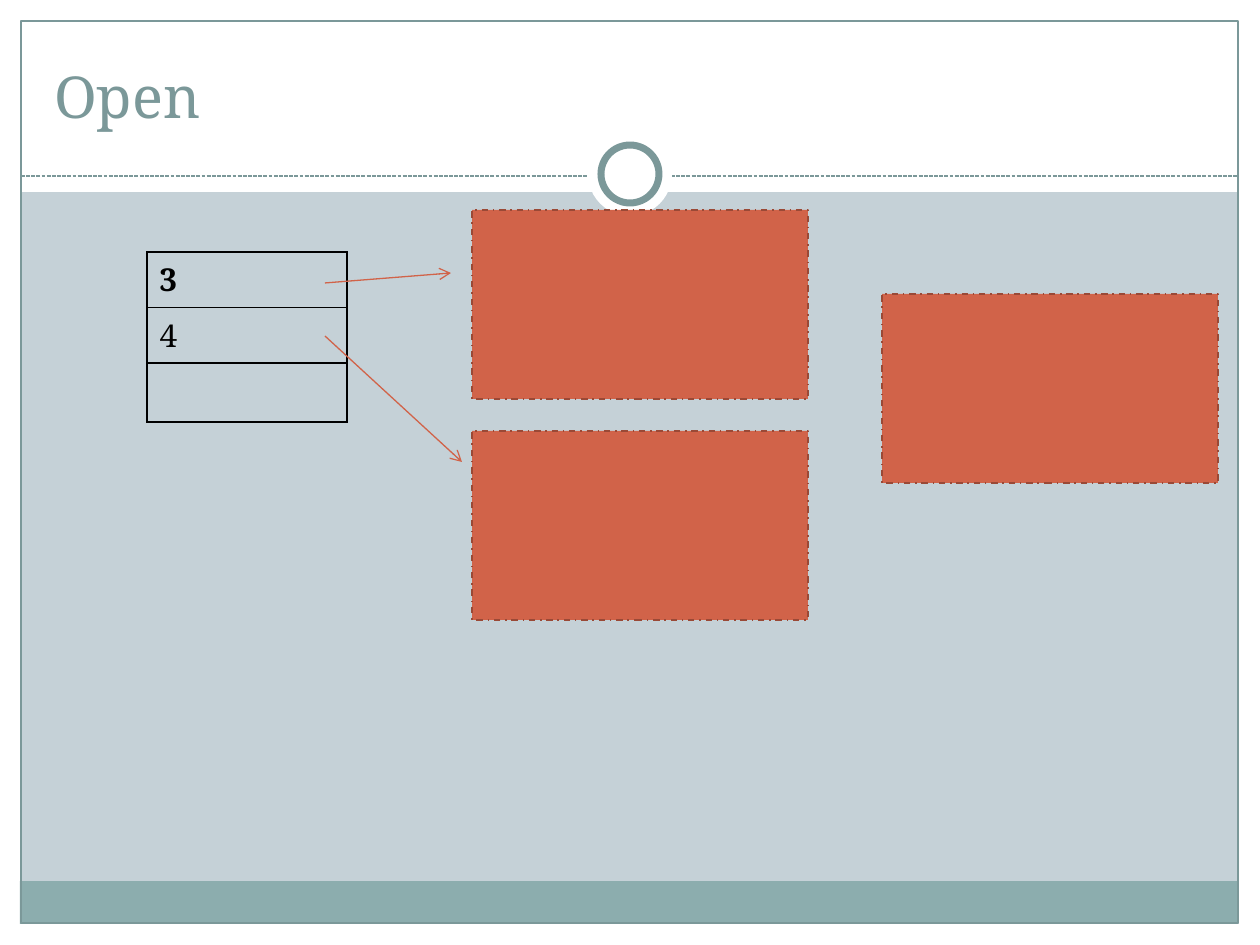
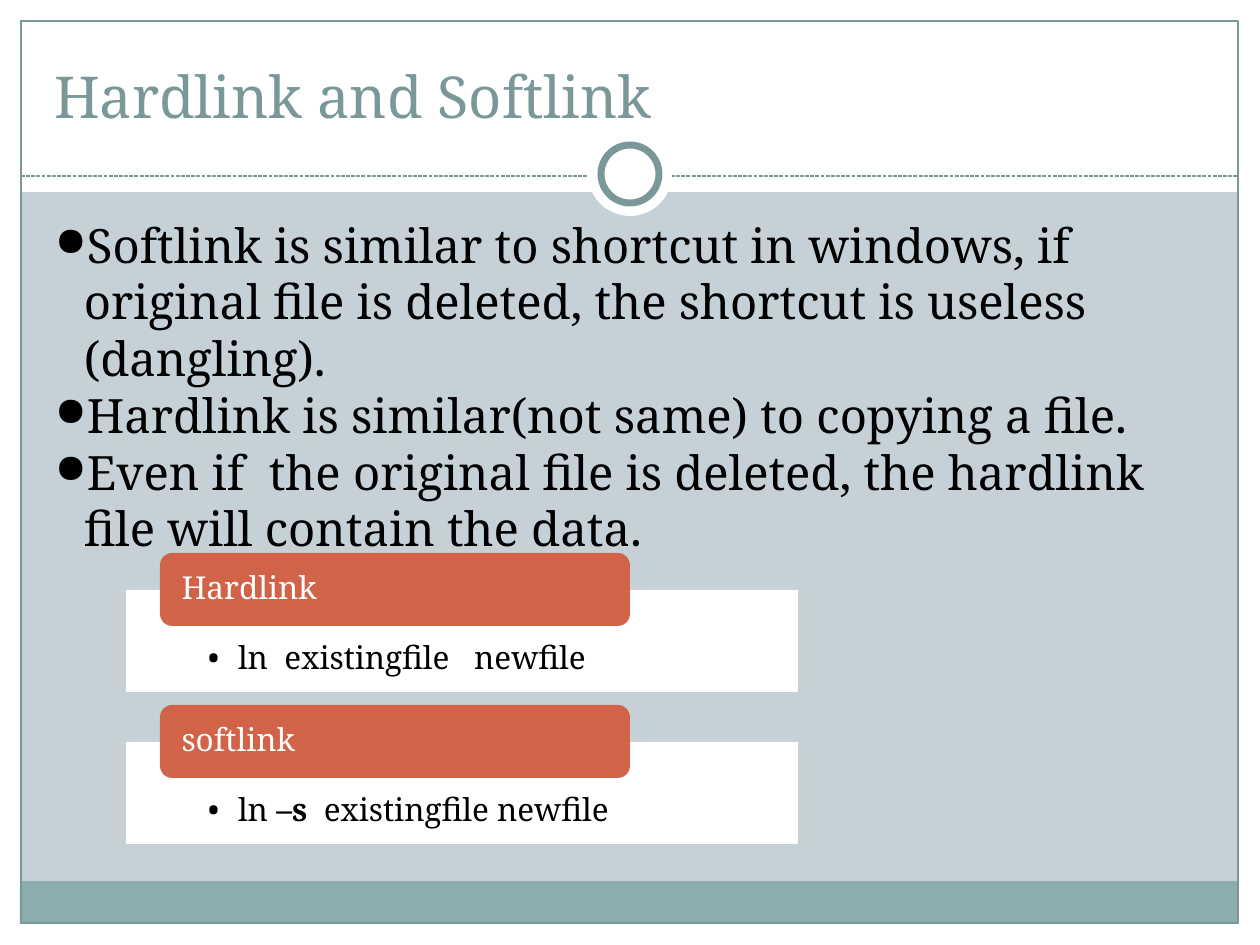
from dataclasses import dataclass

from lxml import etree
from pptx import Presentation
from pptx.dml.color import RGBColor
from pptx.enum.dml import MSO_LINE
from pptx.enum.shapes import MSO_CONNECTOR, MSO_SHAPE
from pptx.enum.text import MSO_ANCHOR, MSO_AUTO_SIZE, PP_ALIGN
from pptx.oxml.ns import qn
from pptx.util import Emu, Pt

RECT, ROUNDED, OVAL = MSO_SHAPE.RECTANGLE, MSO_SHAPE.ROUNDED_RECTANGLE, MSO_SHAPE.OVAL
STRAIGHT = MSO_CONNECTOR.STRAIGHT
DASHED, DASH_DOT = MSO_LINE.SQUARE_DOT, MSO_LINE.DASH_DOT
TOP, MIDDLE, BOTTOM = MSO_ANCHOR.TOP, MSO_ANCHOR.MIDDLE, MSO_ANCHOR.BOTTOM
LEFT = PP_ALIGN.LEFT
NO_AUTOFIT = MSO_AUTO_SIZE.NONE
TITLE_ONLY = 5
EMU_PER_PX = 914400 / 126
WIDTH, HEIGHT, MARGIN = 1260, 945, 21


@dataclass(frozen=True)
class Theme:
    """Colours, fonts, type sizes and line widths of the deck."""
    font: str = "Noto Serif"
    bullet_font: str = "OpenSymbol"
    back: str = "C5D1D7"
    white: str = "FFFFFF"
    black: str = "000000"
    slate: str = "7B9899"
    footer: str = "8CADAE"
    accent: str = "D16349"
    accent_edge: str = "9A4936"
    title: int = 33
    body: int = 27
    small: int = 18
    hairline: float = 0.74
    edge: float = 0.91
    ring: float = 4


THEME = Theme()


def px(value):
    """Turn pixels into EMU."""
    return Emu(round(value * EMU_PER_PX))


def rgb(colour):
    """Turn a hex string into a colour."""
    return RGBColor.from_string(colour)


def set_line(line, colour, width, dash=None):
    """Give an outline its colour, width and dash."""
    line.color.rgb = rgb(colour)
    line.width = Pt(width)
    if dash is not None:
        line.dash_style = dash


def add_box(slide, kind, box, fill=None, line=None, width=THEME.hairline, dash=None):
    """Add a preset shape without shadow."""
    sp = slide.shapes.add_shape(kind, *map(px, box))
    sp.shadow.inherit = False
    if fill:
        sp.fill.solid()
        sp.fill.fore_color.rgb = rgb(fill)
    else:
        sp.fill.background()
    if line:
        set_line(sp.line, line, width, dash)
    else:
        sp.line.fill.background()
    return sp


def add_line(slide, start, end, colour, dash=None, arrow=False):
    """Add a straight line, with an arrowhead at its end if wanted."""
    c = slide.shapes.add_connector(STRAIGHT, *map(px, start + end))
    set_line(c.line, colour, THEME.hairline, dash)
    props = c.element.spPr
    if arrow:
        etree.SubElement(props.find(qn("a:ln")), qn("a:tailEnd"), type="arrow")
    etree.SubElement(props, qn("a:effectLst"))
    return c


def set_font(font, size, colour):
    """Set typeface, size and colour."""
    font.name = THEME.font
    font.size = Pt(size)
    font.color.rgb = rgb(colour)


def set_frame(tf, anchor, insets=(13, 6, 13, 6)):
    """Set wrapping, anchor and insets of a text frame."""
    tf.word_wrap = True
    tf.auto_size = NO_AUTOFIT
    tf.vertical_anchor = anchor
    tf.margin_left, tf.margin_top, tf.margin_right, tf.margin_bottom = map(px, insets)


def set_bullet(p, char, font, margin, hang, size=100):
    """Give a paragraph a hanging bullet."""
    props = p._p.get_or_add_pPr()
    props.set("marL", str(px(margin)))
    props.set("indent", str(-px(hang)))
    etree.SubElement(props, qn("a:buSzPct"), val=str(size * 1000))
    etree.SubElement(props, qn("a:buFont"), typeface=font)
    etree.SubElement(props, qn("a:buChar"), char=char)


def set_paragraph(p, size, colour, spacing=None):
    """Align a paragraph left and set its font and line spacing."""
    p.alignment = LEFT
    if spacing:
        p.line_spacing = spacing
    set_font(p.font, size, colour)


def add_title(slide, text):
    """Fill and format the title placeholder."""
    sp = slide.shapes.title
    sp.left, sp.top, sp.width, sp.height = map(px, (41, 31, 1176, 105))
    set_frame(sp.text_frame, BOTTOM)
    sp.text_frame.text = text
    set_paragraph(sp.text_frame.paragraphs[0], THEME.title, THEME.slate)


def add_bullets(slide, box, items):
    """Add the main bulleted text."""
    tf = slide.shapes.add_textbox(*map(px, box)).text_frame
    set_frame(tf, TOP)
    tf.text = "\n".join(items)
    for p in tf.paragraphs:
        set_bullet(p, "●", THEME.bullet_font, 29, 29, 85)
        set_paragraph(p, THEME.body, THEME.black)


def add_command(slide, top, name, runs):
    """Add a white card with a command and a coloured tab naming it."""
    card = add_box(slide, RECT, (126, top + 37, 672, 102), THEME.white)
    set_frame(card.text_frame, TOP, (52, 52, 52, 18))
    p = card.text_frame.paragraphs[0]
    p.level = 1
    set_bullet(p, "•", THEME.font, 60, 30)
    set_paragraph(p, THEME.small, THEME.black, 0.9)
    for text, bold in runs:
        r = p.add_run()
        r.text = text
        if bold:
            r.font.bold = True

    tab = add_box(slide, ROUNDED, (160, top, 470, 73), THEME.accent)
    set_frame(tab.text_frame, MIDDLE, (18, 0, 18, 0))
    tab.text_frame.text = name
    set_paragraph(tab.text_frame.paragraphs[0], THEME.small, THEME.white, 0.9)


def set_borders(cell, colour, width):
    """Draw all four borders of a table cell."""
    props = cell._tc.get_or_add_tcPr()
    for index, side in enumerate(("lnL", "lnR", "lnT", "lnB")):
        ln = etree.Element(qn("a:" + side), w=str(Pt(width)))
        fill = etree.SubElement(ln, qn("a:solidFill"))
        etree.SubElement(fill, qn("a:srgbClr"), val=colour)
        props.insert(index, ln)


def add_column_table(slide, left, top, width, rows):
    """Add a one-column table from (text, height) rows with a bold first row."""
    height = sum(h for _, h in rows)
    table = slide.shapes.add_table(
        len(rows), 1, *map(px, (left, top, width, height))).table
    table.first_row = table.horz_banding = False
    for index, (text, row_height) in enumerate(rows):
        table.rows[index].height = px(row_height)
        cell = table.cell(index, 0)
        cell.fill.background()
        set_borders(cell, THEME.black, 1)
        cell.text = text
        p = cell.text_frame.paragraphs[0]
        set_paragraph(p, THEME.small, THEME.black)
        p.font.bold = index == 0


def build_layout(prs, layout):
    """Put background, bands, border and ring on the shared layout."""
    layout.background.fill.solid()
    layout.background.fill.fore_color.rgb = rgb(THEME.back)
    for sp in list(layout.placeholders)[1:]:
        sp.element.getparent().remove(sp.element)

    slide = prs.slides.add_slide(layout)
    bands = [(0, HEIGHT - MARGIN, WIDTH, MARGIN), (0, 0, WIDTH, 192),
             (0, 0, MARGIN, HEIGHT), (WIDTH - MARGIN, 0, MARGIN, HEIGHT)]
    parts = [add_box(slide, RECT, band, THEME.white) for band in bands]
    parts += [
        add_box(slide, RECT, (20, 881, 1217, 43), THEME.footer),
        add_box(slide, RECT, (MARGIN, MARGIN, 1217, 902), line=THEME.slate),
        add_line(slide, (MARGIN, 176), (WIDTH - MARGIN, 176), THEME.slate, DASHED),
        add_box(slide, OVAL, (588, 132, 84, 84), THEME.white),
        add_box(slide, OVAL, (601, 145, 58, 58), THEME.white, THEME.slate, THEME.ring),
    ]
    for part in parts:
        layout.shapes.element.append(part.element)
    return slide


def fill_open(slide):
    """Show the table of open files pointing at its blocks."""
    add_title(slide, "Open")
    add_column_table(slide, 147, 252, 200, [("3", 50), ("4", 49), ("", 59)])
    for left, top in ((472, 210), (472, 431), (882, 294)):
        add_box(slide, RECT, (left, top, 336, 189), THEME.accent,
                THEME.accent_edge, THEME.edge, DASH_DOT)
    for start, end in (((325, 283), (451, 273)), ((325, 336), (462, 462))):
        add_line(slide, start, end, THEME.accent, arrow=True)


def fill_links(slide):
    """Compare hard and soft links and show their commands."""
    add_title(slide, "Hardlink and Softlink")
    add_bullets(slide, (42, 210, 1172, 630), [
        "Softlink is similar to shortcut in windows, if original file is deleted, "
        "the shortcut is useless (dangling).",
        "Hardlink is similar(not same) to copying a file.",
        "Even if  the original file is deleted, the hardlink file will contain the data.",
    ])
    commands = [
        ("Hardlink", [("ln  existingfile   newfile", False)]),
        ("softlink", [("ln ", False), ("–s  ", True), ("existingfile newfile", False)]),
    ]
    for index, (name, runs) in enumerate(commands):
        add_command(slide, 553 + 152 * index, name, runs)


def main():
    """Build and save the deck."""
    prs = Presentation()
    prs.slide_width, prs.slide_height = px(WIDTH), px(HEIGHT)
    layout = prs.slide_layouts[TITLE_ONLY]
    fill_open(build_layout(prs, layout))
    fill_links(prs.slides.add_slide(layout))
    prs.save("out.pptx")


main()
